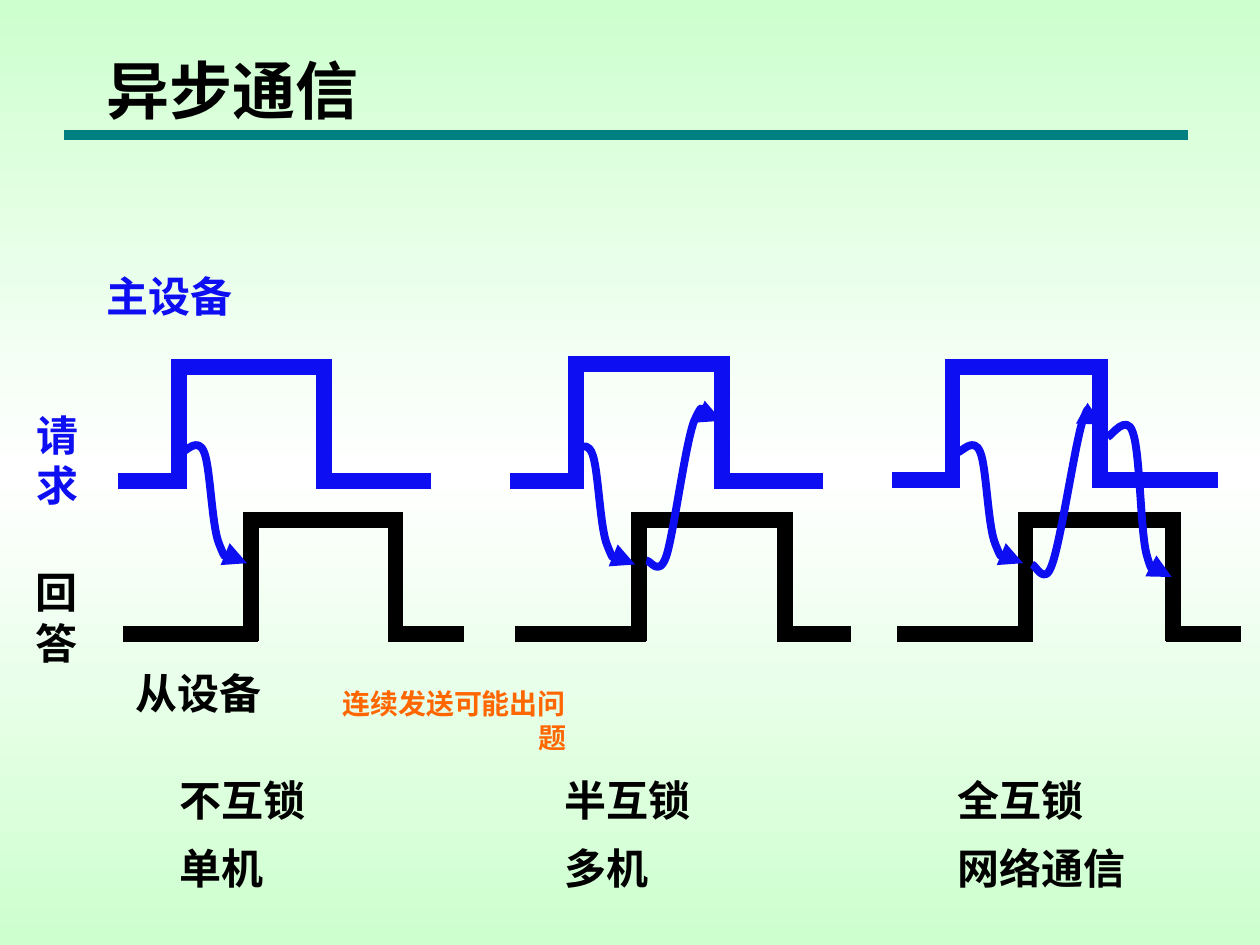
import copy
from dataclasses import dataclass

import pptx
import pptx.dml.color
import pptx.enum.dml
import pptx.enum.shapes
import pptx.enum.text
import pptx.oxml
import pptx.oxml.ns
import pptx.util
from lxml import etree

Inches = pptx.util.Inches
Pt = pptx.util.Pt
qn = pptx.oxml.ns.qn


@dataclass(frozen=True)
class Theme:
    font: str = "Times New Roman"
    black: str = "000000"
    blue: str = "0E0EF2"
    teal: str = "008080"
    orange: str = "FF6600"
    pale: str = "CDFFCE"
    white: str = "FFFFFF"
    title: int = 36
    body: int = 24
    note: int = 16
    rule: float = 6
    wave: float = 9
    curve: float = 4.5


THEME = Theme()
HALF = 0.06
DROP = [(0.03, 0), (0.13, -0.13), (0.18, 0), (0.23, 0.12), (0.24, 0.59),
        (0.3, 0.73), (0.36, 0.88), (0.47, 0.85), (0.52, 0.88)]
REPLY = [(0.03, -0.01), (0.1, 0.14), (0.16, -0.04), (0.22, -0.23), (0.31, -0.93),
         (0.38, -1.11), (0.46, -1.28), (0.57, -1.11), (0.6, -1.11)]
RISE = [(0.03, 0), (0.1, 0.18), (0.16, 0), (0.23, -0.19), (0.34, -0.94),
        (0.4, -1.13), (0.47, -1.31), (0.53, -1.12), (0.56, -1.11)]
FINAL = [(0.03, -0.01), (0.15, -0.19), (0.2, -0.04), (0.26, 0.12), (0.26, 0.74),
         (0.31, 0.93), (0.36, 1.11), (0.48, 1.04), (0.51, 1.07),
         (0.54, 1.1), (0.51, 1.1), (0.51, 1.11)]

PHASES = [
    dict(left=0.94, names=("不互锁", "单机"), label=1.33,
         ask=(2.91, 3.82, 1.42, 2.57, 3.42), answer=(1.99, 3.14, 3.68),
         curves=[(1.44, 3.59, DROP)]),
    dict(left=4.05, names=("半互锁", "多机"), label=4.38,
         ask=(2.89, 3.82, 4.57, 5.73, 6.53), answer=(5.07, 6.23, 6.75),
         curves=[(4.52, 3.6, DROP), (5.13, 4.45, REPLY)]),
    dict(left=7.08, names=("全互锁", "网络通信"), label=7.5,
         ask=(2.91, 3.81, 7.56, 8.73, 9.67), answer=(8.14, 9.31, 9.85),
         curves=[(7.6, 3.59, DROP), (8.19, 4.48, RISE), (8.79, 3.47, FINAL)]),
]


def tint(color):
    return pptx.dml.color.RGBColor.from_string(color)


def write(slide, box, text, size=THEME.body, color=THEME.black, wrap=True, align=None):
    shape = slide.shapes.add_textbox(*map(Inches, box))
    frame = shape.text_frame
    frame.word_wrap = wrap
    frame.auto_size = pptx.enum.text.MSO_AUTO_SIZE.SHAPE_TO_FIT_TEXT
    frame.text = text
    for para in frame.paragraphs:
        para.alignment = align
        para.font.name = THEME.font
        para.font.size = Pt(size)
        para.font.bold = True
        para.font.color.rgb = tint(color)


def stroke(slide, start, end, color, width=THEME.wave):
    line = slide.shapes.add_connector(
        pptx.enum.shapes.MSO_CONNECTOR.STRAIGHT, *map(Inches, (*start, *end)))
    line.line.color.rgb = tint(color)
    line.line.width = Pt(width)
    etree.SubElement(line.element.spPr, qn("a:effectLst"))


def pulse(slide, box, rise, fall, color):
    left, high, width, height = box
    low = high + height
    stroke(slide, (left, low), (rise + HALF, low), color)
    stroke(slide, (rise, high - HALF), (rise, low + HALF), color)
    stroke(slide, (rise - HALF, high), (fall + HALF, high), color)
    stroke(slide, (fall, high - HALF), (fall, low + HALF), color)
    stroke(slide, (fall - HALF, low), (left + width, low), color)


def curve(slide, left, top, points):
    pen = slide.shapes.build_freeform(Inches(left), Inches(top))
    pen.add_line_segments(
        [(Inches(left + x), Inches(top + y)) for x, y in points], close=False)
    shape = pen.convert_to_shape()
    shape.shadow.inherit = False
    shape.fill.background()
    shape.line.color.rgb = tint(THEME.blue)
    shape.line.width = Pt(THEME.curve)
    etree.SubElement(shape.line._get_or_add_ln(), qn("a:tailEnd"), type="triangle")
    track = shape.element.find(".//" + qn("a:path"))
    steps = track.findall(qn("a:lnTo"))
    for first in range(0, len(steps), 3):
        bend = etree.SubElement(track, qn("a:cubicBezTo"))
        for step in steps[first:first + 3]:
            bend.append(step[0])
            track.remove(step)


def phase(slide, left, names, label, ask, answer, curves):
    high, low, rise, fall, right = ask
    pulse(slide, (left, high, right - left, low - high), rise, fall, THEME.blue)
    rise, fall, right = answer
    start = left + 0.04
    pulse(slide, (start, 4.13, right - start, 0.9), rise, fall, THEME.black)
    for x, y, points in curves:
        curve(slide, x, y, points)
    for row, name in enumerate(names):
        write(slide, (label, 6.1 + 0.54 * row, 1.67, 0.5), name)


def backdrop(slide):
    fill = slide.background.fill
    fill.gradient()
    fill.gradient_angle = 270
    stops = fill.gradient_stops
    last = slide.background.element.findall(".//" + qn("a:gs"))[-1]
    last.addprevious(copy.deepcopy(last))
    stops = fill.gradient_stops
    for stop, place, color in zip(
            stops, (0, 0.5, 1), (THEME.pale, THEME.white, THEME.pale)):
        stop.position = place
        stop.color.rgb = tint(color)


def header(slide, box):
    left, top, width, height = box
    base = top + height
    stroke(slide, (left, base), (left + width, base), THEME.teal, THEME.rule)
    write(slide, (left + 0.24, top, 3.07, 0.7), "异步通信", size=THEME.title)


def labels(slide):
    write(slide, (0.75, 2.1, 2.53, 0.5), "主设备", color=THEME.blue)
    write(slide, (0.98, 5.25, 2.95, 0.5), "从设备")
    write(slide, (0.19, 3.2, 0.53, 0.9), "请\n求", color=THEME.blue, wrap=False)
    write(slide, (0.18, 4.45, 0.53, 0.9), "回\n答", wrap=False)
    write(slide, (2.4, 5.4, 2.19, 0.37), "连续发送可能出问题", size=THEME.note,
          color=THEME.orange, wrap=False, align=pptx.enum.text.PP_ALIGN.RIGHT)


def main():
    deck = pptx.Presentation()
    deck.slide_width, deck.slide_height = Inches(10), Inches(7.5)
    slide = deck.slides.add_slide(deck.slide_layouts[6])
    backdrop(slide)
    header(slide, (0.51, 0.36, 8.92, 0.71))
    labels(slide)
    for part in PHASES:
        phase(slide, **part)
    deck.save("out.pptx")


if __name__ == "__main__":
    main()
